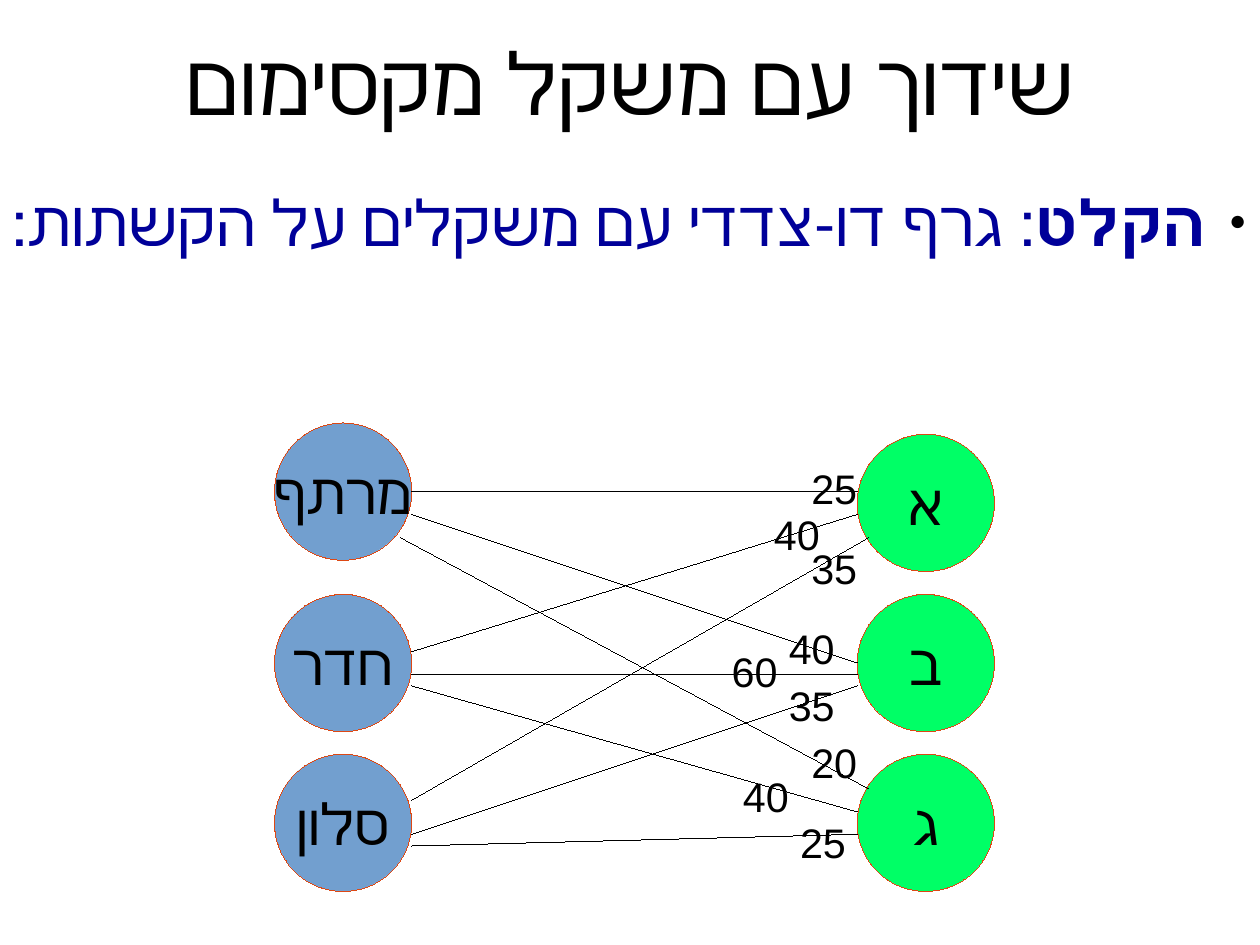
from lxml import etree
from pptx import Presentation
from pptx.dml.color import RGBColor
from pptx.enum.shapes import MSO_CONNECTOR, MSO_SHAPE
from pptx.enum.text import MSO_ANCHOR, MSO_AUTO_SIZE, PP_ALIGN
from pptx.oxml.ns import qn
from pptx.util import Cm, Pt

STRAIGHT = MSO_CONNECTOR.STRAIGHT
OVAL = MSO_SHAPE.OVAL
MIDDLE, TOP = MSO_ANCHOR.MIDDLE, MSO_ANCHOR.TOP
FIXED, GROW = MSO_AUTO_SIZE.NONE, MSO_AUTO_SIZE.SHAPE_TO_FIT_TEXT
LEFT, CENTER, RIGHT = PP_ALIGN.LEFT, PP_ALIGN.CENTER, PP_ALIGN.RIGHT

FONT = "Arial"
COLORS = {
    "text": "000000",
    "statement": "000099",
    "room": "729FCF",
    "person": "00FF66",
    "outline": "DD4814",
}
WIDTH, HEIGHT = 28, 21
DIAMETER = 3.05
PERSON_LEFT = 12.95

ROOMS = [("מרתף", 0), ("חדר", 3.81), ("סלון", 7.36)]
PERSONS = [("א", 0.25), ("ב", 3.81), ("ג", 7.36)]
# Each edge: weight, person end, room end, corner of the weight label
EDGES = [
    ("25", (12.95, 1.52), (3.05, 1.52), (11.68, 0.76)),
    ("40", (12.95, 2.03), (3.05, 5.08), (10.85, 1.8)),
    ("35", (13.21, 2.54), (3.05, 8.38), (11.68, 2.54)),
    ("40", (12.95, 5.33), (3.05, 2.03), (11.18, 4.32)),
    ("60", (12.95, 5.59), (3.05, 5.59), (9.91, 4.83)),
    ("35", (12.95, 5.84), (3.05, 9.14), (11.18, 5.59)),
    ("20", (13.21, 8.13), (2.79, 2.54), (11.68, 6.86)),
    ("40", (12.95, 8.64), (3.05, 5.84), (10.16, 7.62)),
    ("25", (12.95, 9.14), (3.05, 9.4), (11.43, 8.64)),
]


def rgb(name):
    """Return the palette colour with this name."""
    return RGBColor.from_string(COLORS[name])


def write_text(shape, *parts, size, color="text", align=CENTER, anchor=MIDDLE,
               wrap=False, autosize=FIXED, rtl=False, margin=None):
    """Write (text, bold) parts as one formatted paragraph and return it."""
    frame = shape.text_frame
    frame.word_wrap = wrap
    frame.auto_size = autosize
    frame.vertical_anchor = anchor
    if margin is not None:
        frame.margin_left = frame.margin_right = Cm(margin)
        frame.margin_top = frame.margin_bottom = Cm(margin)
    paragraph = frame.paragraphs[0]
    paragraph.alignment = align
    if rtl:
        paragraph._p.get_or_add_pPr().set("rtl", "1")
    for text, bold in parts:
        run = paragraph.add_run()
        run.text = text
        run.font.size = Pt(size)
        run.font.bold = bold
        run.font.name = FONT
        run.font.color.rgb = rgb(color)
    return paragraph


def add_bullet(paragraph, indent, hanging):
    """Give the paragraph a small black bullet with a hanging indent."""
    properties = paragraph._p.get_or_add_pPr()
    properties.set("marL", str(Cm(indent)))
    properties.set("indent", str(-Cm(hanging)))
    color = etree.SubElement(properties, qn("a:buClr"))
    etree.SubElement(color, qn("a:srgbClr")).set("val", COLORS["text"])
    etree.SubElement(properties, qn("a:buSzPct")).set("val", "45000")
    etree.SubElement(properties, qn("a:buFont")).set("typeface", FONT)
    etree.SubElement(properties, qn("a:buChar")).set("char", "●")


def set_hairline(shape, color):
    """Draw the line of a shape or connector as thin as possible."""
    shape.line.color.rgb = rgb(color)
    shape.line.width = Pt(0)
    element = shape._element
    element.remove(element.find(qn("p:style")))


def place_title(slide, left, top, width, height):
    """Move and fill the title placeholder."""
    title = slide.shapes.title
    title.left, title.top = Cm(left), Cm(top)
    title.width, title.height = Cm(width), Cm(height)
    write_text(title, ("שידוך עם משקל מקסימום", False), size=54, wrap=True,
               rtl=True, margin=0)


def add_statement(slide, left, top, width, height):
    """Add the bulleted description of the input."""
    box = slide.shapes.add_textbox(Cm(left), Cm(top), Cm(width), Cm(height))
    paragraph = write_text(
        box, ("הקלט", True), (": גרף דו-צדדי עם משקלים על הקשתות:", False),
        size=40, color="statement", align=RIGHT, anchor=TOP, wrap=True,
        rtl=True, margin=0)
    add_bullet(paragraph, indent=1.2, hanging=0.9)


def add_vertex(slide, left, top, name, fill):
    """Add one named circle of the graph."""
    circle = slide.shapes.add_shape(OVAL, Cm(left), Cm(top), Cm(DIAMETER),
                                    Cm(DIAMETER))
    circle.shadow.inherit = False
    circle.fill.solid()
    circle.fill.fore_color.rgb = rgb(fill)
    set_hairline(circle, "outline")
    write_text(circle, (name, False), size=36)


def add_edge(slide, start, end):
    """Add one hairline between two (x, y) points."""
    edge = slide.shapes.add_connector(STRAIGHT, *map(Cm, start + end))
    set_hairline(edge, "text")
    etree.SubElement(edge._element.spPr, qn("a:effectLst"))


def add_weight(slide, left, top, weight):
    """Add the number that belongs to an edge."""
    box = slide.shapes.add_textbox(Cm(left), Cm(top), Cm(1.6), Cm(1.27))
    write_text(box, (weight, False), size=26, align=LEFT, anchor=TOP,
               autosize=GROW)


def add_graph(slide, left, top):
    """Add the bipartite graph with its corner at the given point."""
    def shift(point):
        """Move a point of the graph onto the slide."""
        return left + point[0], top + point[1]

    for vertices, offset, fill in ((ROOMS, 0, "room"),
                                   (PERSONS, PERSON_LEFT, "person")):
        for name, drop in vertices:
            add_vertex(slide, *shift((offset, drop)), name, fill)
    for _, person_end, room_end, _ in EDGES:
        add_edge(slide, shift(person_end), shift(room_end))
    for weight, _, _, corner in EDGES:
        add_weight(slide, *shift(corner), weight)


def main():
    """Build and save the presentation."""
    presentation = Presentation()
    presentation.slide_width, presentation.slide_height = Cm(WIDTH), Cm(HEIGHT)
    slide = presentation.slides.add_slide(presentation.slide_layouts[5])
    place_title(slide, 0, 0, WIDTH, 3.6)
    add_statement(slide, 0, 4.06, WIDTH, 2.29)
    add_graph(slide, 6.1, 9.4)
    presentation.save("out.pptx")


if __name__ == "__main__":
    main()
